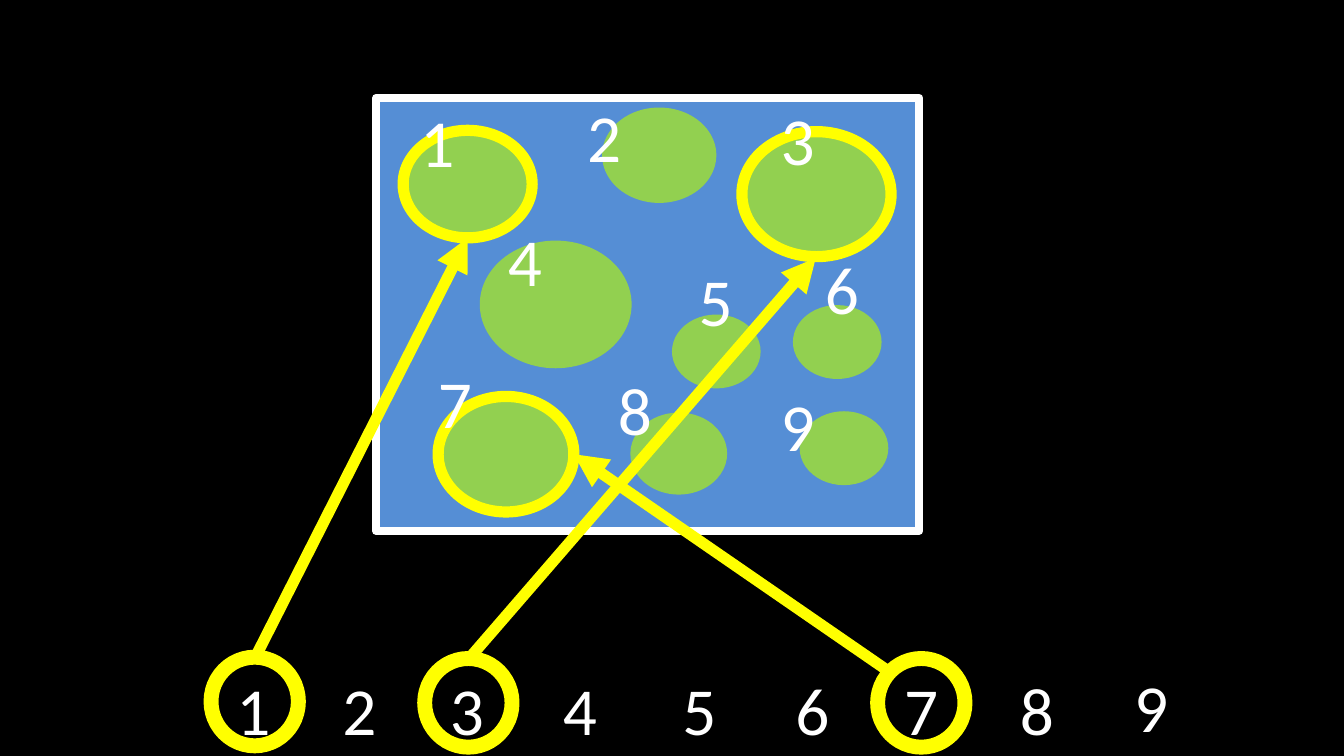
from lxml import etree
from pptx import Presentation
from pptx.dml.color import RGBColor
from pptx.enum.shapes import MSO_CONNECTOR, MSO_SHAPE
from pptx.enum.text import MSO_AUTO_SIZE
from pptx.oxml.ns import qn
from pptx.util import Inches, Pt

OVAL, RECT = MSO_SHAPE.OVAL, MSO_SHAPE.RECTANGLE
STRAIGHT = MSO_CONNECTOR.STRAIGHT
FIT = MSO_AUTO_SIZE.SHAPE_TO_FIT_TEXT

BLACK, WHITE, BLUE, GREEN, YELLOW = "000000", "FFFFFF", "558ED5", "92D050", "FFFF00"
DIGIT_FORMAT = {"name": "Calibri", "size": Pt(36)}
DIGIT_SIZE = (0.27, 0.71)
RING_SIZE = (0.65, 0.66)

SELECTED = {1, 3, 7}
SEA = (2.8, 0.73, 4.04, 3.22)
ISLANDS = {
    3: (5.52, 0.98, 1.11, 0.93),
    8: (4.69, 3.07, 0.72, 0.61),
    1: (3, 0.97, 0.96, 0.8),
    7: (3.26, 2.95, 1.01, 0.86),
    2: (4.48, 0.8, 0.85, 0.71),
    6: (5.9, 2.27, 0.66, 0.55),
    5: (5, 2.34, 0.66, 0.55),
    9: (5.95, 3.06, 0.66, 0.55),
    4: (3.57, 1.79, 1.13, 0.95),
}
ISLAND_DIGITS = {
    1: (3.03, 0.7), 9: (5.71, 2.81), 8: (4.5, 2.69),
    7: (3.16, 2.64), 6: (6.04, 1.79), 4: (3.68, 1.58),
    3: (5.71, 0.68), 2: (4.27, 0.66), 5: (5.1, 1.88),
}
ROW_DIGITS = {
    1: (1.66, 4.92), 2: (2.45, 4.92), 3: (3.25, 4.92),
    4: (4.09, 4.92), 5: (4.98, 4.92), 6: (5.82, 4.92),
    7: (6.63, 4.92), 8: (7.49, 4.92), 9: (8.34, 4.9),
}
RINGS = [(1.57, 4.89), (3.16, 4.9), (6.53, 4.9)]
ARROWS = [
    ((1.9, 4.89), (3.48, 1.77)),
    ((6.62, 5), (4.27, 3.38)),
    ((3.49, 4.9), (6.07, 1.92)),
]


def color(hex_value):
    return RGBColor.from_string(hex_value)


def inches(*lengths):
    return [Inches(length) for length in lengths]


def set_line(line, hex_value, width):
    line.color.rgb = color(hex_value)
    line.width = Pt(width)


def add_form(kind, box, fill=None, outline=None):
    form = slide.shapes.add_shape(kind, *inches(*box))
    form.shadow.inherit = False
    if fill:
        form.fill.solid()
        form.fill.fore_color.rgb = color(fill)
    else:
        form.fill.background()
    if outline:
        set_line(form.line, *outline)
    else:
        form.line.fill.background()


def add_digits(places):
    for digit, corner in places.items():
        frame = slide.shapes.add_textbox(*inches(*corner, *DIGIT_SIZE)).text_frame
        frame.word_wrap = True
        frame.auto_size = FIT
        run = frame.paragraphs[0].add_run()
        run.text = str(digit)
        for name, value in DIGIT_FORMAT.items():
            setattr(run.font, name, value)
        run.font.color.rgb = color(WHITE)


def add_arrow(start, end):
    arrow = slide.shapes.add_connector(STRAIGHT, *inches(*start, *end))
    set_line(arrow.line, YELLOW, 6)
    etree.SubElement(arrow.line._get_or_add_ln(), qn("a:tailEnd"), type="triangle")
    etree.SubElement(arrow._element.spPr, qn("a:effectLst"))


deck = Presentation()
deck.slide_width = Inches(10)
deck.slide_height = deck.slide_width * 9 // 16
slide = deck.slides.add_slide(deck.slide_layouts[6])
slide.background.fill.solid()
slide.background.fill.fore_color.rgb = color(BLACK)

add_digits(ROW_DIGITS)
for corner in RINGS:
    add_form(OVAL, (*corner, *RING_SIZE), outline=(YELLOW, 8))
add_form(RECT, SEA, BLUE, (WHITE, 4.5))
for number, box in ISLANDS.items():
    add_form(OVAL, box, GREEN, (YELLOW, 6) if number in SELECTED else None)
add_digits(ISLAND_DIGITS)
for start, end in ARROWS:
    add_arrow(start, end)

deck.save("out.pptx")
